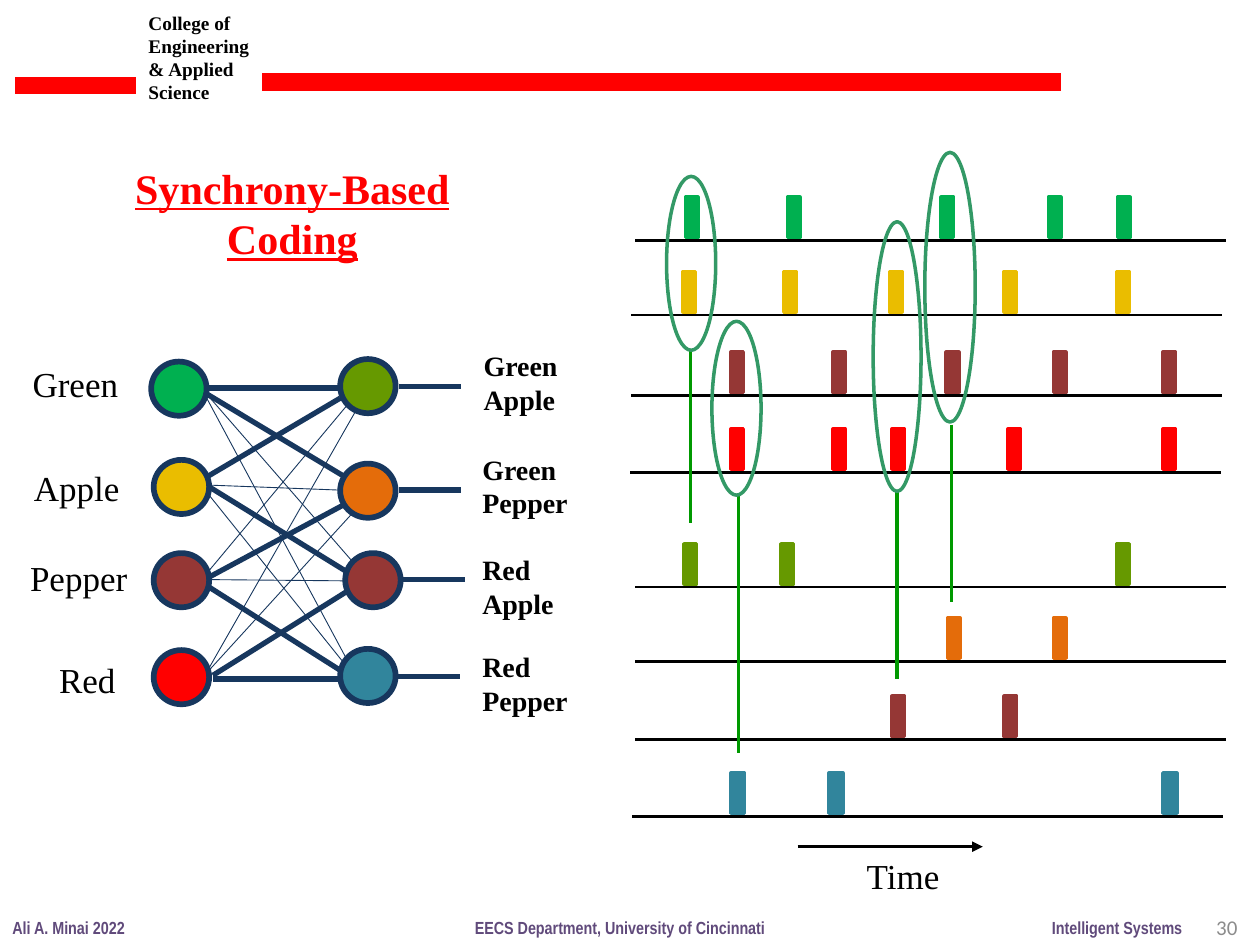
from lxml.etree import SubElement
from pptx import Presentation
from pptx.dml.color import RGBColor
from pptx.enum.shapes import MSO_CONNECTOR, MSO_SHAPE
from pptx.enum.text import MSO_ANCHOR, PP_ALIGN
from pptx.oxml.ns import qn
from pptx.util import Inches, Pt

SERIF, NARROW = "Times New Roman", "Arial Narrow"
BLACK, RED, NAVY, PURPLE = "000000", "FF0000", "17375E", "604A7B"
GREEN, YELLOW, BROWN, ORANGE = "00B050", "EABD00", "953735", "E46C0A"
OLIVE, TEAL, LINK_GREEN, RING_GREEN = "669900", "31859C", "009900", "339966"

HEADER_BARS = [(0.12, 1.08, 0.68), (2.08, 8.42, 0.65)]  # x1, x2, y
FOOTERS = [
    ("Ali A. Minai 2022", 0, 1.1),
    ("Intelligent Systems", 8.25, 1.24),
    ("EECS Department, University of Cincinnati", 3.67, 2.52),
]  # text, left, width

# text, (text left, top, width), (node left, top), colour
INPUTS = [
    ("Green", (0.16, 2.83, 0.88), (1.2, 2.87), GREEN),
    ("Apple", (0.17, 3.65, 0.88), (1.22, 3.65), YELLOW),
    ("Pepper", (0.14, 4.37, 0.97), (1.22, 4.39), BROWN),
    ("Red", (0.37, 5.18, 0.65), (1.22, 5.16), RED),
]
# lines, (text left, top, width), (node left, top), colour, start of output line
OUTPUTS = [
    (["Green", "Apple"], (3.74, 2.72, 0.8), (2.7, 2.85), OLIVE, (3.17, 3.07)),
    (["Green", "Pepper"], (3.73, 3.54, 0.88), (2.7, 3.68), ORANGE, (3.17, 3.89)),
    (["Red", "Apple"], (3.73, 4.34, 0.77), (2.74, 4.39), BROWN, (3.2, 4.6)),
    (["Red", "Pepper"], (3.73, 5.11, 0.88), (2.7, 5.15), TEAL, (3.16, 5.37)),
]
OUTPUT_LENGTH = 0.49
NODE_SIZE = (0.44, 0.43)

# x1, y1, x2, y2
STRONG_EDGES = [
    (1.65, 3.08, 2.7, 3.08), (1.63, 3.12, 2.73, 3.78),
    (1.65, 3.78, 2.7, 3.16), (1.67, 3.87, 2.74, 4.53),
    (1.66, 4.58, 2.74, 4), (1.66, 4.66, 2.7, 5.32),
    (1.69, 5.36, 2.76, 4.69), (1.69, 5.39, 2.7, 5.39),
]
WEAK_EDGES = [
    (1.66, 3.15, 2.8, 4.46), (1.63, 3.14, 2.74, 5.21),
    (1.66, 3.85, 2.7, 3.89), (1.66, 3.93, 2.72, 5.25),
    (1.65, 4.54, 2.76, 3.21), (1.66, 4.6, 2.73, 4.61),
    (1.66, 5.3, 2.83, 3.25), (1.65, 5.33, 2.8, 4.07),
]

# colour, baseline left, baseline y, spike width, spike lefts
SPIKE_TRAINS = [
    (GREEN, 5.04, 1.91, 0.1, [5.44, 6.25, 7.47, 8.32, 8.87]),
    (YELLOW, 5.01, 2.5, 0.1, [5.42, 6.22, 7.06, 7.97, 8.86]),
    (BROWN, 5.01, 3.14, 0.1, [5.8, 6.61, 7.51, 8.36, 9.23]),
    (RED, 5, 3.75, 0.1, [5.8, 6.61, 7.08, 8, 9.23]),
    (OLIVE, 5.04, 4.66, 0.1, [5.43, 6.2, 8.86]),
    (ORANGE, 5.04, 5.25, 0.1, [7.52, 8.36]),
    (BROWN, 5.04, 5.87, 0.1, [7.08, 7.97]),
    (TEAL, 5.02, 6.48, 0.11, [5.8, 6.58, 9.23]),
]
BASELINE_LENGTH, SPIKE_HEIGHT, SPIKE_RISE = 4.69, 0.32, 0.345

# ring left, top, width, height; link x, y1, y2
SYNCHRONIES = [
    ((5.29, 1.4, 0.39, 1.38), (5.48, 2.78, 4.15)),
    ((5.65, 2.55, 0.39, 1.38), (5.86, 3.94, 5.98)),
    ((6.93, 1.76, 0.38, 2.14), (7.12, 3.89, 5.39)),
    ((7.34, 1.21, 0.4, 2.14), (7.55, 3.37, 4.78)),
]


def rgb(color):
    return RGBColor.from_string(color)


def add_line(slide, x1, y1, x2, y2, color, weight, arrow=False):
    line = slide.shapes.add_connector(
        MSO_CONNECTOR.STRAIGHT, Inches(x1), Inches(y1), Inches(x2), Inches(y2))
    line.line.color.rgb = rgb(color)
    line.line.width = Pt(weight)
    if arrow:
        SubElement(line.line._get_or_add_ln(), qn("a:tailEnd"), type="triangle")
    SubElement(line._element.spPr, qn("a:effectLst"))


def add_figure(slide, kind, box, fill, outline, weight):
    """Add a preset shape; a fill of None leaves it hollow."""
    shape = slide.shapes.add_shape(kind, *map(Inches, box))
    shape.shadow.inherit = False
    if fill:
        shape.fill.solid()
        shape.fill.fore_color.rgb = rgb(fill)
    else:
        shape.fill.background()
    shape.line.color.rgb = rgb(outline)
    shape.line.width = Pt(weight)


def add_text(slide, lines, box, size, color=BLACK, font=SERIF, bold=False,
             underline=False, align=PP_ALIGN.LEFT, wrap=False,
             anchor=MSO_ANCHOR.TOP):
    text_frame = slide.shapes.add_textbox(*map(Inches, box)).text_frame
    text_frame.word_wrap = wrap
    text_frame.vertical_anchor = anchor
    text_frame.text = "\n".join(lines)
    for paragraph in text_frame.paragraphs:
        paragraph.alignment = align
        for run in paragraph.runs:
            run.font.name = font
            run.font.size = Pt(size)
            run.font.bold = bold
            run.font.underline = underline
            run.font.color.rgb = rgb(color)


def add_frame(slide):
    """Add the header, footers and page number."""
    add_text(slide, ["College of Engineering & Applied", "Science"],
             (1.08, 0.04, 1.09, 0.84), 11, bold=True, wrap=True)
    for x1, x2, y in HEADER_BARS:
        add_line(slide, x1, y, x2, y, RED, 10)
    for text, left, width in FOOTERS:
        add_text(slide, [text], (left, 7.23, width, 0.27), 10, PURPLE, NARROW,
                 bold=True)
    add_text(slide, ["30"], (7.59, 7.16, 2.33, 0.4), 12, "8C8C8C", "Calibri",
             align=PP_ALIGN.RIGHT, wrap=True, anchor=MSO_ANCHOR.MIDDLE)


def add_network(slide):
    for text, label, node, color in INPUTS:
        add_figure(slide, MSO_SHAPE.OVAL, node + NODE_SIZE, color, NAVY, 3.25)
        add_text(slide, [text], label + (0.43,), 20)
    for lines, label, node, color, (x, y) in OUTPUTS:
        add_figure(slide, MSO_SHAPE.OVAL, node + NODE_SIZE, color, NAVY, 3.25)
        add_line(slide, x, y, x + OUTPUT_LENGTH, y, NAVY, 3)
        add_text(slide, lines, label + (0.64,), 16, bold=True)
    for edges, weight in ((WEAK_EDGES, 0.5), (STRONG_EDGES, 3)):
        for edge in edges:
            add_line(slide, *edge, NAVY, weight)


def add_spike_trains(slide):
    for color, left, y, width, spikes in SPIKE_TRAINS:
        add_line(slide, left, y, left + BASELINE_LENGTH, y, BLACK, 1.5)
        for x in spikes:
            add_figure(slide, MSO_SHAPE.RECTANGLE,
                       (x, y - SPIKE_RISE, width, SPIKE_HEIGHT), color, color, 2)
    for ring, (x, y1, y2) in SYNCHRONIES:
        add_line(slide, x, y1, x, y2, LINK_GREEN, 2)
        add_figure(slide, MSO_SHAPE.OVAL, ring, None, RING_GREEN, 2)
    add_line(slide, 6.33, 6.72, 7.8, 6.72, BLACK, 2, arrow=True)
    add_text(slide, ["Time"], (6.78, 6.73, 0.79, 0.43), 20)


def main():
    presentation = Presentation()
    presentation.slide_width, presentation.slide_height = Inches(10), Inches(7.5)
    slide = presentation.slides.add_slide(presentation.slide_layouts[6])
    add_frame(slide)
    add_network(slide)
    add_spike_trains(slide)
    add_text(slide, ["Synchrony-Based", "Coding"], (0.96, 1.24, 2.72, 0.91), 24,
             RED, bold=True, underline=True, align=PP_ALIGN.CENTER)
    presentation.save("out.pptx")


if __name__ == "__main__":
    main()
